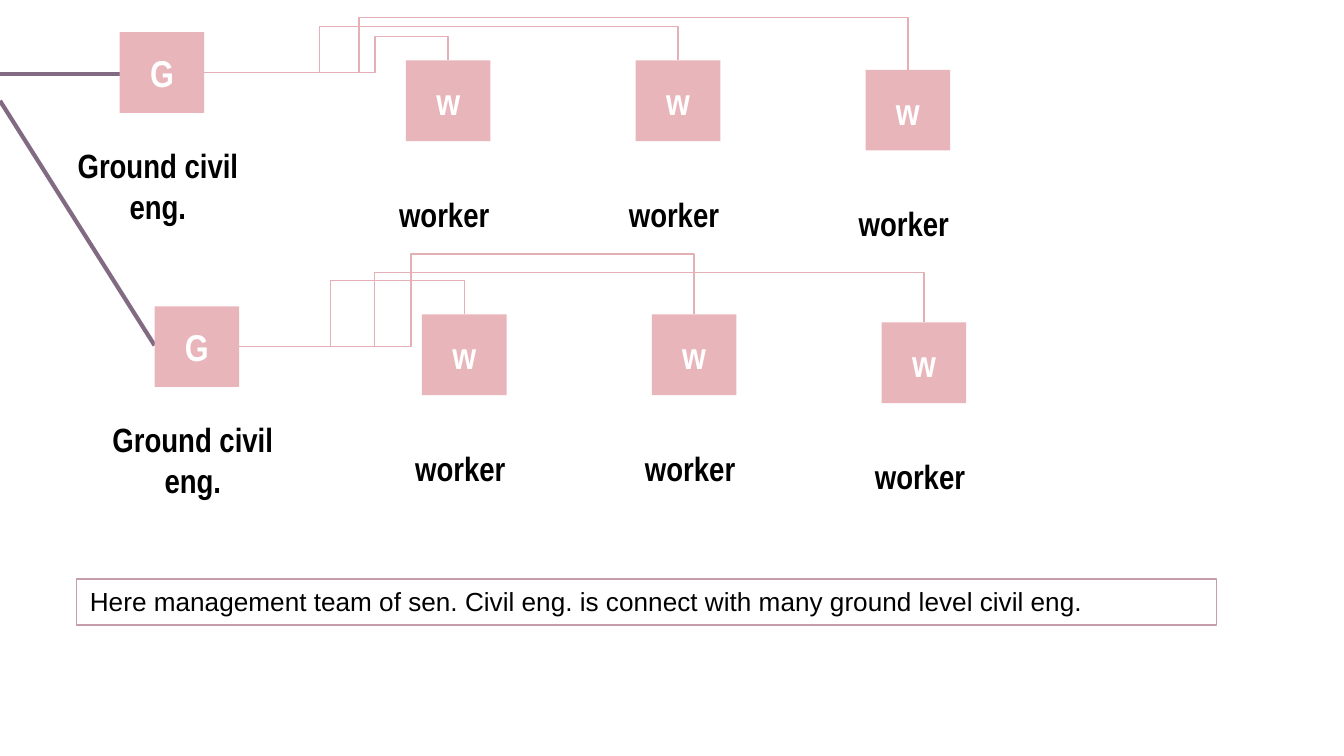
from lxml import etree
from pptx import Presentation
from pptx import util as u
from pptx.dml.color import RGBColor
from pptx.enum import shapes, text
from pptx.oxml.ns import qn

BOX_WIDTH, BOX_HEIGHT = 0.63, 0.6
WORKER_PITCH = 1.71


def write(shape, content, size=18, font="Arial Narrow", color="000000", bold=True,
          align=text.PP_ALIGN.CENTER, anchor=text.MSO_ANCHOR.MIDDLE, inset=0.1,
          fit=text.MSO_AUTO_SIZE.NONE):
    frame = shape.text_frame
    frame.word_wrap = True
    frame.auto_size = fit
    frame.vertical_anchor = anchor
    frame.margin_top = frame.margin_bottom = u.Inches(inset)
    frame.margin_left = frame.margin_right = u.Inches(0.1)
    paragraph = frame.paragraphs[0]
    paragraph.alignment = align
    run = paragraph.add_run()
    run.text = content
    run.font.size = u.Pt(size)
    run.font.name = font
    run.font.bold = bold
    run.font.color.rgb = RGBColor.from_string(color)


def add_line(kind, start, end, color, width):
    line = slide.shapes.add_connector(kind, *[u.Inches(value) for value in (*start, *end)])
    line.line.color.rgb = RGBColor.from_string(color)
    line.line.width = u.Pt(width)
    etree.SubElement(line._element.spPr, qn("a:effectLst"))
    return line


# Widescreen 16:9 slide
presentation = Presentation()
presentation.slide_width = u.Inches(10)
presentation.slide_height = u.Inches(10 * 9 / 16)
slide = presentation.slides.add_slide(presentation.slide_layouts[6])

# Lines coming in from the left edge
for start, end in [((0, 0.55), (0.9, 0.55)), ((0, 0.75), (1.15, 2.57))]:
    add_line(shapes.MSO_CONNECTOR.STRAIGHT, start, end, "826B82", 2.25)

# Teams: engineer corner, first worker's left, worker tops, bend (x, y) of each link
teams = [
    ((0.89, 0.24), 3.02, (0.45, 0.45, 0.52), [(2.79, 0.27), (2.38, 0.2), (2.67, 0.13)]),
    ((1.15, 2.28), 3.14, (2.34, 2.34, 2.4), [(2.46, 2.09), (3.06, 1.89), (2.79, 2.03)]),
]
for engineer, first_left, tops, bends in teams:
    members = [("G", "Ground civil eng.", *engineer)]
    for index, top in enumerate(tops):
        members.append(("w", "worker", first_left + index * WORKER_PITCH, top))

    # Lettered box with its label below
    boxes = []
    for letter, role, left, top in members:
        group = slide.shapes.add_group_shape()
        label = group.shapes.add_textbox(u.Inches(left - 0.57), u.Inches(top + 0.8),
                                         u.Inches(1.71), u.Inches(0.68))
        write(label, role)
        box = group.shapes.add_shape(shapes.MSO_SHAPE.RECTANGLE, u.Inches(left), u.Inches(top),
                                     u.Inches(BOX_WIDTH), u.Inches(BOX_HEIGHT))
        box.shadow.inherit = False
        box.fill.solid()
        box.fill.fore_color.rgb = RGBColor.from_string("E8B5BB")
        box.line.fill.background()
        write(box, letter, size=20, color="FFFFFF")
        boxes.append(box)

    # Elbow links from the engineer's right side to each worker's top
    start_x, start_y = engineer[0] + BOX_WIDTH, engineer[1] + BOX_HEIGHT / 2
    for worker, member, (bend_x, bend_y) in zip(boxes[1:], members[1:], bends):
        end_x, end_y = member[2] + BOX_WIDTH / 2, member[3]
        link = add_line(shapes.MSO_CONNECTOR.ELBOW, (start_x, start_y), (end_x, end_y),
                        "E4B0B6", 0.75)
        link.begin_connect(boxes[0], 3)
        link.end_connect(worker, 0)
        geometry = link._element.spPr.find(qn("a:prstGeom"))
        geometry.set("prst", "bentConnector4")
        ratios = ((bend_x - start_x) / (end_x - start_x), (start_y - bend_y) / (start_y - end_y))
        for number, ratio in enumerate(ratios, 1):
            etree.SubElement(geometry.find(qn("a:avLst")), qn("a:gd"),
                             name=f"adj{number}", fmla=f"val {round(ratio * 100000)}")

# Note
note = slide.shapes.add_shape(shapes.MSO_SHAPE.RECTANGLE, u.Inches(0.57), u.Inches(4.31),
                              u.Inches(8.48), u.Inches(0.34))
note.shadow.inherit = False
note.fill.background()
note.line.color.rgb = RGBColor.from_string("C79DA9")
note.line.width = u.Pt(0.75)
write(note, "Here management team of sen. Civil eng. is connect with many ground level civil eng.",
      size=14, font="Arial", bold=False, align=text.PP_ALIGN.LEFT,
      anchor=text.MSO_ANCHOR.TOP, inset=0.05, fit=text.MSO_AUTO_SIZE.SHAPE_TO_FIT_TEXT)

presentation.save("out.pptx")
